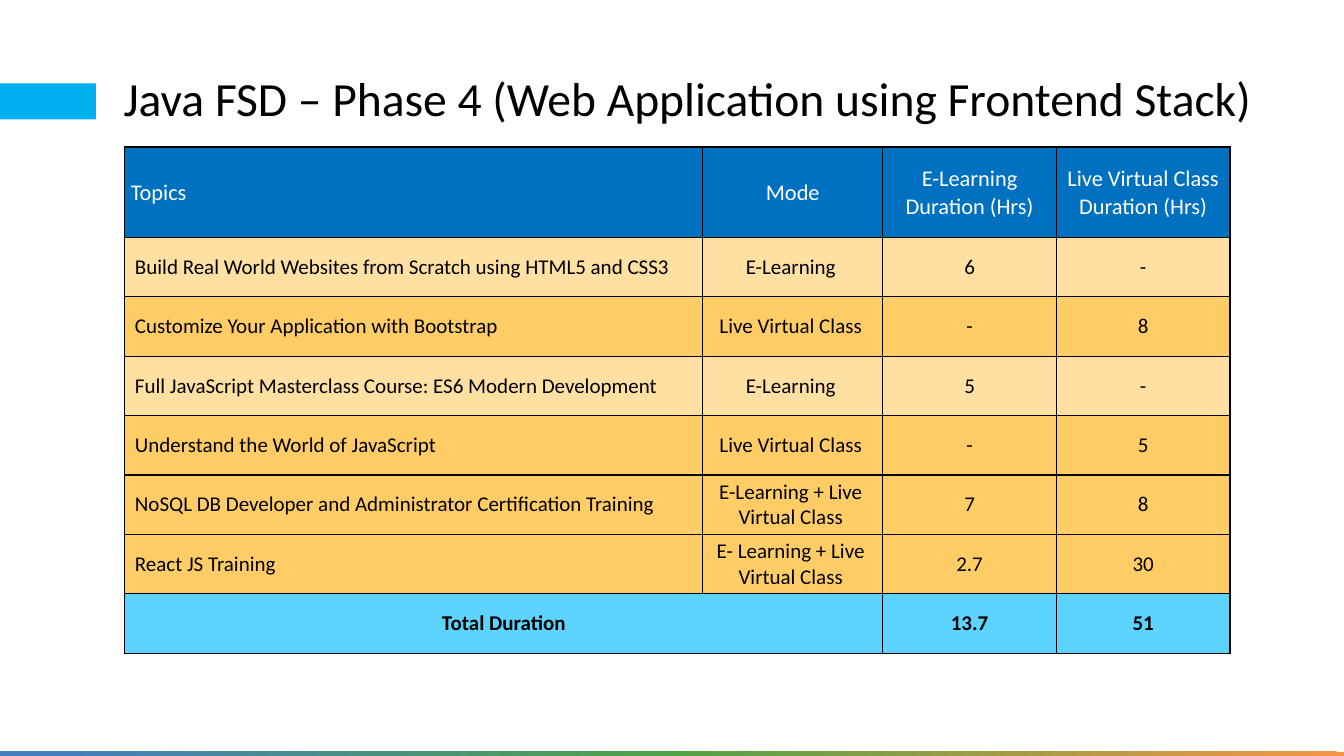
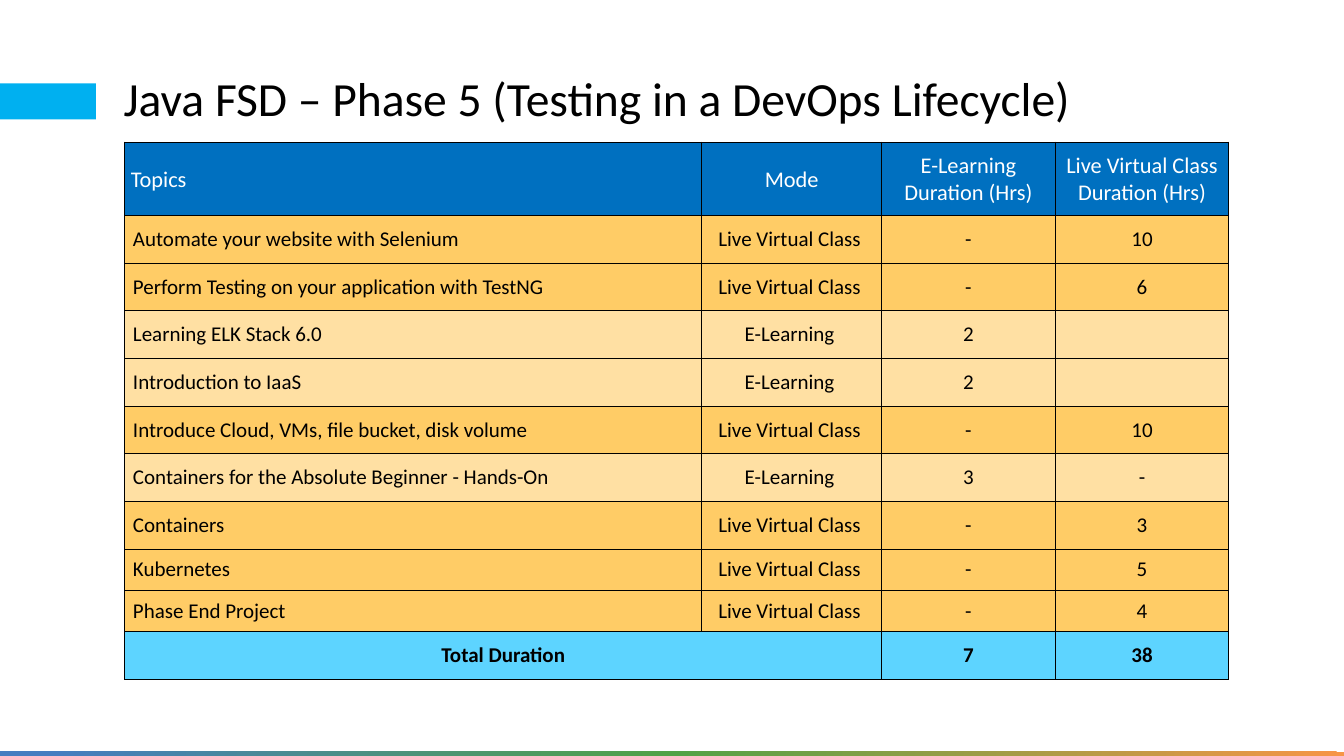
from lxml.etree import SubElement
from pptx import Presentation
from pptx.dml.color import RGBColor
from pptx.enum.shapes import MSO_SHAPE
from pptx.enum.text import MSO_ANCHOR, PP_ALIGN
from pptx.oxml import parse_xml
from pptx.oxml.ns import nsdecls, qn
from pptx.util import Pt

SLIDE_WIDTH, SLIDE_HEIGHT = 960, 540
FOOTER_TOP = 536.8
FONT = "Calibri"
BLACK, WHITE = "000000", "FFFFFF"
ACCENT, HEADER_BLUE, TOTAL_BLUE = "00B0F0", "0070C0", "5DD4FF"
SELF_PACED, INSTRUCTOR_LED = "FFE0A3", "FFCC66"
FOOTER_STOPS = [(0, "F79546"), (50, "51A246"), (96, "457DC0"), (100, "457DC0")]
FOOTER_ANGLE = 170

E_LEARNING, LIVE = "E-Learning", "Live Virtual Class"
HEADINGS = ["Topics", "Mode", "E-Learning Duration (Hrs)", "Live Virtual Class Duration (Hrs)"]
TOTAL_LABEL = "Total Duration"

TABLE_LEFT = 89.2
HEADING_MARGINS = {"margin_left": 0.7, "margin_top": 0.7, "margin_right": 0.7, "margin_bottom": 0}
VALUE_MARGINS = {"margin_left": 2, "margin_top": 1.5, "margin_right": 2, "margin_bottom": 1.5}
TEXT_MARGINS = {"margin_left": 7.2, "margin_top": 3.6, "margin_right": 7.2, "margin_bottom": 3.6}
MODE_MARGINS = VALUE_MARGINS | {"margin_right": 5}

PHASES = [
    {
        "title": "Java FSD – Phase 4 (Web Application using Frontend Stack)",
        "top": 105,
        "topic_indent": 7.2,
        "columns": [412.8, 128.6, 124, 124],
        "row_heights": [64.6] + [42.45] * 7,
        "topics": [
            ("Build Real World Websites from Scratch using HTML5 and CSS3", E_LEARNING, "6", "-"),
            ("Customize Your Application with Bootstrap", LIVE, "-", "8"),
            ("Full JavaScript Masterclass Course: ES6 Modern Development", E_LEARNING, "5", "-"),
            ("Understand the World of JavaScript", LIVE, "-", "5"),
            ("NoSQL DB Developer and Administrator Certification Training",
             "E-Learning + Live Virtual Class", "7", "8"),
            ("React JS Training", "E- Learning + Live Virtual Class", "2.7", "30"),
        ],
        "totals": ("13.7", "51"),
    },
    {
        "title": "Java FSD – Phase 5 (Testing in a DevOps Lifecycle)",
        "top": 101.6,
        "topic_indent": 5.8,
        "columns": [412, 128.6, 124, 124],
        "row_heights": [52.4] + [34.05] * 7 + [29.5] * 2 + [34.05],
        "topics": [
            ("Automate your website with Selenium", LIVE, "-", "10"),
            ("Perform Testing on your application with TestNG", LIVE, "-", "6"),
            ("Learning ELK Stack 6.0", E_LEARNING, "2", ""),
            ("Introduction to IaaS", E_LEARNING, "2", ""),
            ("Introduce Cloud, VMs, file bucket, disk volume", LIVE, "-", "10"),
            ("Containers for the Absolute Beginner - Hands-On", E_LEARNING, "3", "-"),
            ("Containers", LIVE, "-", "3"),
            ("Kubernetes", LIVE, "-", "5"),
            ("Phase End Project", LIVE, "-", "4"),
        ],
        "totals": ("7", "38"),
    },
]


def color(value):
    return RGBColor.from_string(value)


def set_all(target, values):
    for name, value in values.items():
        setattr(target, name, value)


def set_margins(target, margins):
    set_all(target, {name: Pt(value) for name, value in margins.items()})


def write(frame, text, size, text_color=BLACK, bold=False, align=PP_ALIGN.LEFT):
    paragraph = frame.paragraphs[0]
    paragraph.alignment = align
    if text:
        run = paragraph.add_run()
        run.text = text
        set_all(run.font, {"name": FONT, "size": Pt(size), "bold": bold})
        run.font.color.rgb = color(text_color)
    return paragraph


def add_bar(slide, left, top, width, height):
    bar = slide.shapes.add_shape(MSO_SHAPE.RECTANGLE, Pt(left), Pt(top), Pt(width), Pt(height))
    bar.shadow.inherit = False
    bar.line.fill.background()
    return bar


def add_frame(slide, title):
    footer = add_bar(slide, 0, FOOTER_TOP, SLIDE_WIDTH, SLIDE_HEIGHT - FOOTER_TOP)
    footer.fill.gradient()
    footer.fill.gradient_angle = FOOTER_ANGLE
    stops = next(footer.element.iter(qn("a:gsLst")))
    for stop in list(stops):
        stops.remove(stop)
    for position, value in FOOTER_STOPS:
        stop = SubElement(stops, qn("a:gs"), pos=str(position * 1000))
        SubElement(stop, qn("a:srgbClr"), val=value)

    marker = add_bar(slide, 0, 59.5, 68.5, 25.7)
    marker.fill.solid()
    marker.fill.fore_color.rgb = color(ACCENT)

    frame = slide.shapes.add_textbox(Pt(81.2), Pt(48.2), Pt(828), Pt(47.5)).text_frame
    set_all(frame, {"word_wrap": True, "vertical_anchor": MSO_ANCHOR.MIDDLE})
    set_margins(frame, TEXT_MARGINS)
    write(frame, title, 34).line_spacing = 0.9


def fill_cell(cell, text, fill, margins, size=15, **text_format):
    cell.vertical_anchor = MSO_ANCHOR.MIDDLE
    set_margins(cell, margins)
    cell.fill.solid()
    cell.fill.fore_color.rgb = color(fill)
    properties = cell._tc.get_or_add_tcPr()
    for index, side in enumerate("LRTB"):
        properties.insert(index, parse_xml(
            f'<a:ln{side} {nsdecls("a")} w="12700"><a:solidFill>'
            f'<a:srgbClr val="{BLACK}"/></a:solidFill></a:ln{side}>'))
    write(cell.text_frame, text, size, **text_format)


def add_schedule(slide, phase):
    columns, heights = phase["columns"], phase["row_heights"]
    table = slide.shapes.add_table(
        len(heights), len(columns), Pt(TABLE_LEFT), Pt(phase["top"]),
        Pt(sum(columns)), Pt(sum(heights))).table
    set_all(table, {"first_row": False, "horz_banding": False})
    for column, width in zip(table.columns, columns):
        column.width = Pt(width)
    for row, height in zip(table.rows, heights):
        row.height = Pt(height)

    aligns = [PP_ALIGN.LEFT] + [PP_ALIGN.CENTER] * 3
    for index, (heading, align) in enumerate(zip(HEADINGS, aligns)):
        margins = HEADING_MARGINS if index else HEADING_MARGINS | {"margin_left": 4.2}
        fill_cell(table.cell(0, index), heading, HEADER_BLUE, margins, 16,
                  text_color=WHITE, align=align)

    topic_margins = TEXT_MARGINS | {"margin_left": phase["topic_indent"]}
    row_margins = [topic_margins, MODE_MARGINS, VALUE_MARGINS, VALUE_MARGINS]
    for row, topic in enumerate(phase["topics"], start=1):
        fill = SELF_PACED if topic[1] == E_LEARNING else INSTRUCTOR_LED
        for index, text in enumerate(topic):
            fill_cell(table.cell(row, index), text, fill, row_margins[index], align=aligns[index])

    last = len(heights) - 1
    table.cell(last, 0).merge(table.cell(last, 1))
    for index, text in enumerate((TOTAL_LABEL, "", *phase["totals"])):
        margins = VALUE_MARGINS if index > 1 else TEXT_MARGINS
        fill_cell(table.cell(last, index), text, TOTAL_BLUE, margins,
                  bold=True, align=PP_ALIGN.CENTER)


def main():
    presentation = Presentation()
    set_all(presentation, {"slide_width": Pt(SLIDE_WIDTH), "slide_height": Pt(SLIDE_HEIGHT)})
    for phase in PHASES:
        slide = presentation.slides.add_slide(presentation.slide_layouts[6])
        add_frame(slide, phase["title"])
        add_schedule(slide, phase)
    presentation.save("out.pptx")


if __name__ == "__main__":
    main()
